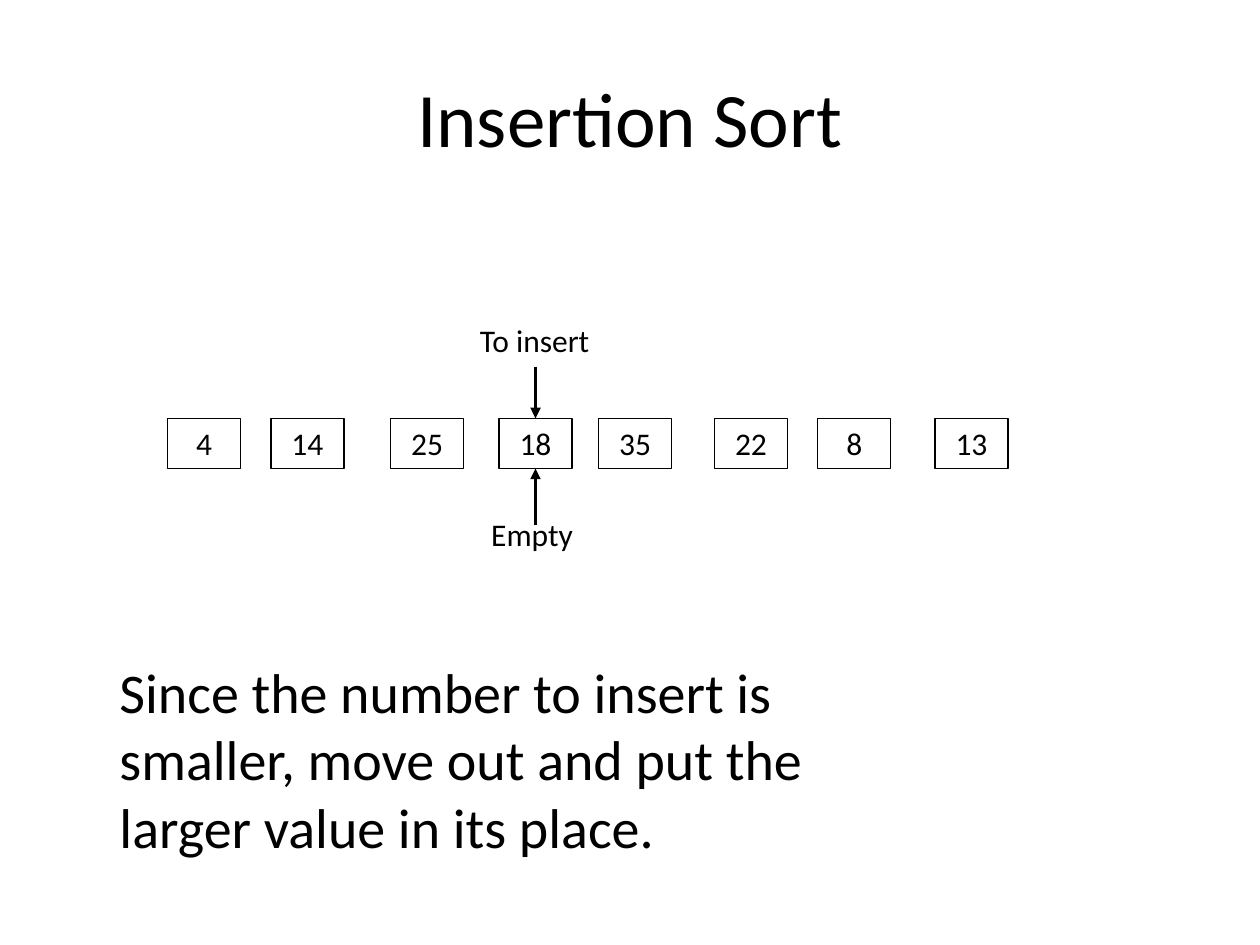
from lxml import etree
from pptx import Presentation
from pptx.dml.color import RGBColor
from pptx.enum.shapes import MSO_CONNECTOR as CONN, MSO_SHAPE as SHAPE
from pptx.enum.text import MSO_ANCHOR as ANCHOR, MSO_AUTO_SIZE as FIT, PP_ALIGN as ALIGN
from pptx.oxml.ns import qn
from pptx.util import Pt

BLACK = RGBColor(0x00, 0x00, 0x00)
FONT = "Calibri"

# Number cells: value and left edge, sharing one row
CELLS = [("4", 95.76), ("14", 154.8), ("25", 223.2), ("18", 285.12),
         ("35", 342), ("22", 408.24), ("8", 467.28), ("13", 534.24)]
CELL_TOP, CELL_W, CELL_H = 239.04, 41.76, 28.8
ARROW_X = 306


def write(tf, text, size, align=ALIGN.LEFT, anchor=ANCHOR.TOP):
    tf.word_wrap = True
    tf.vertical_anchor = anchor
    p = tf.paragraphs[0]
    p.alignment = align
    r = p.add_run()
    r.text = text
    r.font.name = FONT
    r.font.size = Pt(size)
    r.font.color.rgb = BLACK


def add_title(slide, text):
    sp = slide.shapes.title
    sp.left, sp.top, sp.width, sp.height = Pt(36), Pt(21.6), Pt(648), Pt(90)
    write(sp.text_frame, text, 44, ALIGN.CENTER, ANCHOR.MIDDLE)


def add_cell(slide, text, left):
    sp = slide.shapes.add_shape(SHAPE.RECTANGLE, Pt(left), Pt(CELL_TOP),
                                Pt(CELL_W), Pt(CELL_H))
    sp.shadow.inherit = False
    sp.fill.background()
    sp.line.color.rgb = BLACK
    sp.line.width = Pt(0.75)
    write(sp.text_frame, text, 18, ALIGN.CENTER)
    sp.text_frame.auto_size = FIT.SHAPE_TO_FIT_TEXT


def add_text(slide, text, left, top, width, height, size=18):
    sp = slide.shapes.add_textbox(Pt(left), Pt(top), Pt(width), Pt(height))
    write(sp.text_frame, text, size)
    sp.text_frame.auto_size = FIT.SHAPE_TO_FIT_TEXT


def add_arrow(slide, x, y_from, y_to):
    sp = slide.shapes.add_connector(CONN.STRAIGHT, Pt(x), Pt(y_from), Pt(x), Pt(y_to))
    sp.line.color.rgb = BLACK
    sp.line.width = Pt(2)
    etree.SubElement(sp.line._get_or_add_ln(), qn("a:tailEnd"), type="triangle")
    etree.SubElement(sp._element.spPr, qn("a:effectLst"))


def main():
    prs = Presentation()
    prs.slide_width, prs.slide_height = Pt(720), Pt(540)
    slide = prs.slides.add_slide(prs.slide_layouts[5])
    add_title(slide, "Insertion Sort")

    # Row of numbers
    for value, left in CELLS:
        add_cell(slide, value, left)

    # Marker above the current cell
    add_text(slide, "To insert", 267.12, 180, 78.48, 28.8)
    add_arrow(slide, ARROW_X, 209.5, CELL_TOP)

    # Explanation
    add_text(slide, "Since the number to insert is smaller, move out and put the "
             "larger value in its place.", 61.2, 372.24, 473.04, 123.84, size=32)

    # Marker below the current cell
    add_text(slide, "Empty", 273.6, 290.88, 71.28, 28.8)
    add_arrow(slide, ARROW_X, 300.24, CELL_TOP + CELL_H)

    prs.save("out.pptx")


if __name__ == "__main__":
    main()
